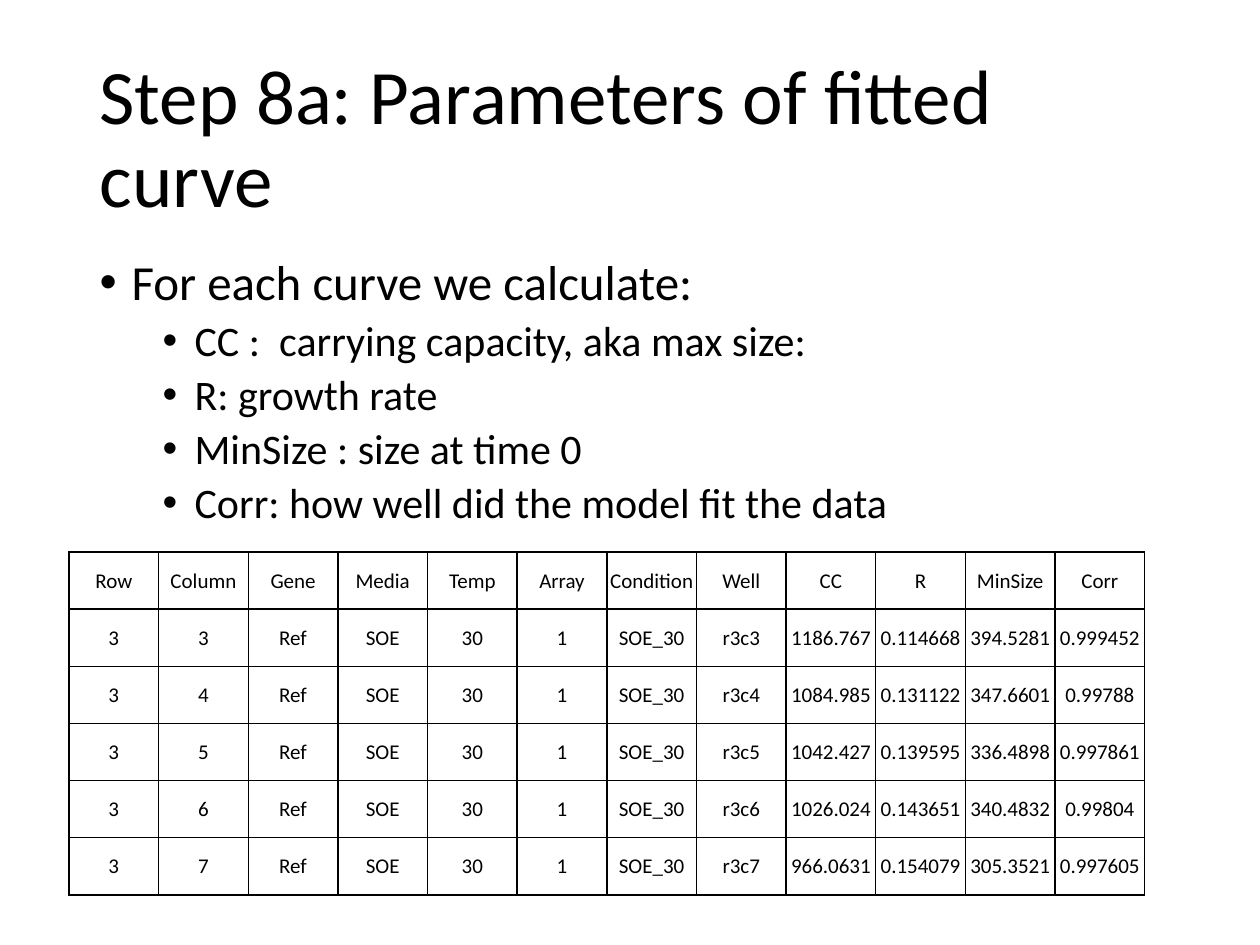
from dataclasses import dataclass

from lxml import etree
from pptx import Presentation
from pptx.dml.color import RGBColor
from pptx.enum.text import MSO_ANCHOR, MSO_AUTO_SIZE, PP_ALIGN
from pptx.oxml.ns import qn
from pptx.util import Pt

LEFT = PP_ALIGN.LEFT
CENTER = PP_ALIGN.CENTER
MIDDLE = MSO_ANCHOR.MIDDLE
TOP = MSO_ANCHOR.TOP
NO_FIT = MSO_AUTO_SIZE.NONE
SCALE = 914400 / 126


@dataclass(frozen=True)
class Theme:
    font: str = "Calibri"
    mark: str = "Arial"
    ink: str = "000000"
    paper: str = "FFFFFF"
    title: int = 44
    levels: tuple = (28, 24)
    gaps: tuple = (10, 5)
    cell: int = 12
    rule: int = 1
    lead: float = 0.9


THEME = Theme()
TITLE = "Step 8a: Parameters of fitted curve"
POINTS = [
    (0, "For each curve we calculate:"),
    (1, "CC :  carrying capacity, aka max size:"),
    (1, "R: growth rate"),
    (1, "MinSize : size at time 0"),
    (1, "Corr: how well did the model fit the data"),
]
HEADS = ["Row", "Column", "Gene", "Media", "Temp", "Array",
         "Condition", "Well", "CC", "R", "MinSize", "Corr"]
FITS = [
    (3, "1186.767", "0.114668", "394.5281", "0.999452"),
    (4, "1084.985", "0.131122", "347.6601", "0.99788"),
    (5, "1042.427", "0.139595", "336.4898", "0.997861"),
    (6, "1026.024", "0.143651", "340.4832", "0.99804"),
    (7, "966.0631", "0.154079", "305.3521", "0.997605"),
]


def px(size):
    return round(size * SCALE)


def add_run(para, text, size):
    run = para.add_run()
    run.text = text
    run.font.name = THEME.font
    run.font.size = Pt(size)
    run.font.color.rgb = RGBColor.from_string(THEME.ink)


def place(shape, box, anchor):
    shape.left, shape.top, shape.width, shape.height = map(px, box)
    frame = shape.text_frame
    frame.word_wrap = True
    frame.auto_size = NO_FIT
    frame.vertical_anchor = anchor
    return frame


def add_title(slide, box):
    para = place(slide.shapes.title, box, MIDDLE).paragraphs[0]
    para.alignment = LEFT
    para.line_spacing = THEME.lead
    add_run(para, TITLE, THEME.title)


def set_bullet(para, level):
    props = para._p.get_or_add_pPr()
    props.set("marL", str(px(32 + 63 * level)))
    props.set("indent", str(px(-32)))
    etree.SubElement(props, qn("a:buFont"), typeface=THEME.mark)
    etree.SubElement(props, qn("a:buChar"), char="•")


def add_list(slide, box):
    frame = place(slide.placeholders[1], box, TOP)
    for index, (level, text) in enumerate(POINTS):
        para = frame.add_paragraph() if index else frame.paragraphs[0]
        para.level = level
        para.line_spacing = THEME.lead
        para.space_before = Pt(THEME.gaps[level])
        set_bullet(para, level)
        add_run(para, text, THEME.levels[level])


def set_rules(cell):
    props = cell._tc.get_or_add_tcPr()
    for side in ("lnL", "lnR", "lnT", "lnB"):
        line = etree.SubElement(props, qn(f"a:{side}"), w=str(Pt(THEME.rule)))
        fill = etree.SubElement(line, qn("a:solidFill"))
        etree.SubElement(fill, qn("a:srgbClr"), val=THEME.ink)


def fill_cell(cell, text):
    set_rules(cell)
    cell.fill.background()
    cell.margin_left = cell.margin_right = cell.margin_top = px(1)
    cell.margin_bottom = 0
    cell.vertical_anchor = MIDDLE
    para = cell.text_frame.paragraphs[0]
    para.alignment = CENTER
    add_run(para, text, THEME.cell)


def add_grid(slide, box):
    rows = [HEADS] + [
        ["3", str(col), "Ref", "SOE", "30", "1", "SOE_30", f"r3c{col}", *fit]
        for col, *fit in FITS
    ]
    left, top, width, height = box
    table = slide.shapes.add_table(len(rows), len(HEADS), *map(px, box)).table
    table.first_row = table.horz_banding = False
    for col in table.columns:
        col.width = px(width / len(HEADS))
    for row in table.rows:
        row.height = px(height / len(rows))
    for y, row in enumerate(rows):
        for x, text in enumerate(row):
            fill_cell(table.cell(y, x), text)


def main():
    deck = Presentation()
    deck.slide_width, deck.slide_height = px(1260), px(945)
    slide = deck.slides.add_slide(deck.slide_layouts[1])
    back = slide.background.fill
    back.solid()
    back.fore_color.rgb = RGBColor.from_string(THEME.paper)
    add_title(slide, (87, 50, 1086, 183))
    add_list(slide, (87, 252, 1086, 600))
    add_grid(slide, (69, 552, 1076, 343))
    deck.save("out.pptx")


if __name__ == "__main__":
    main()
